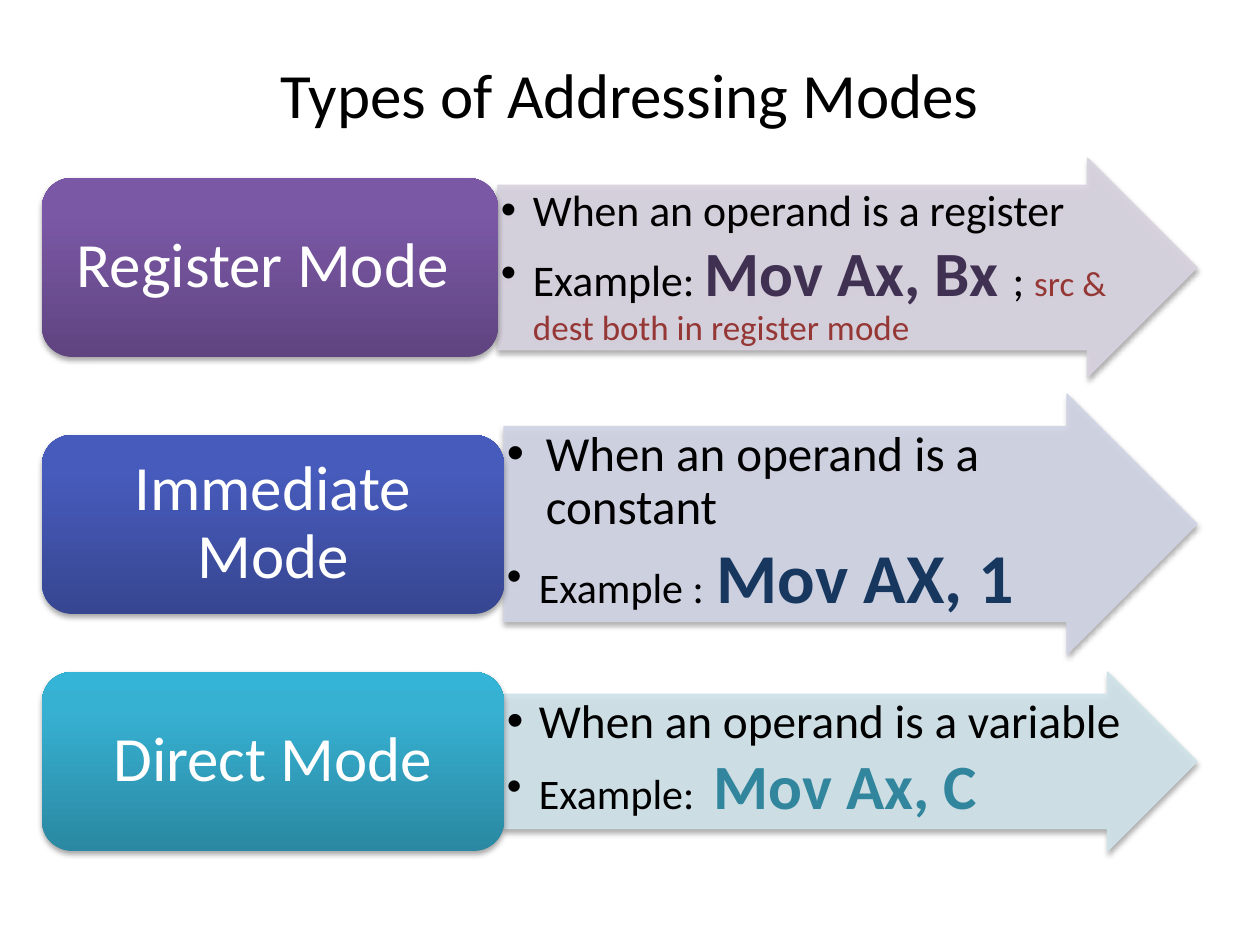
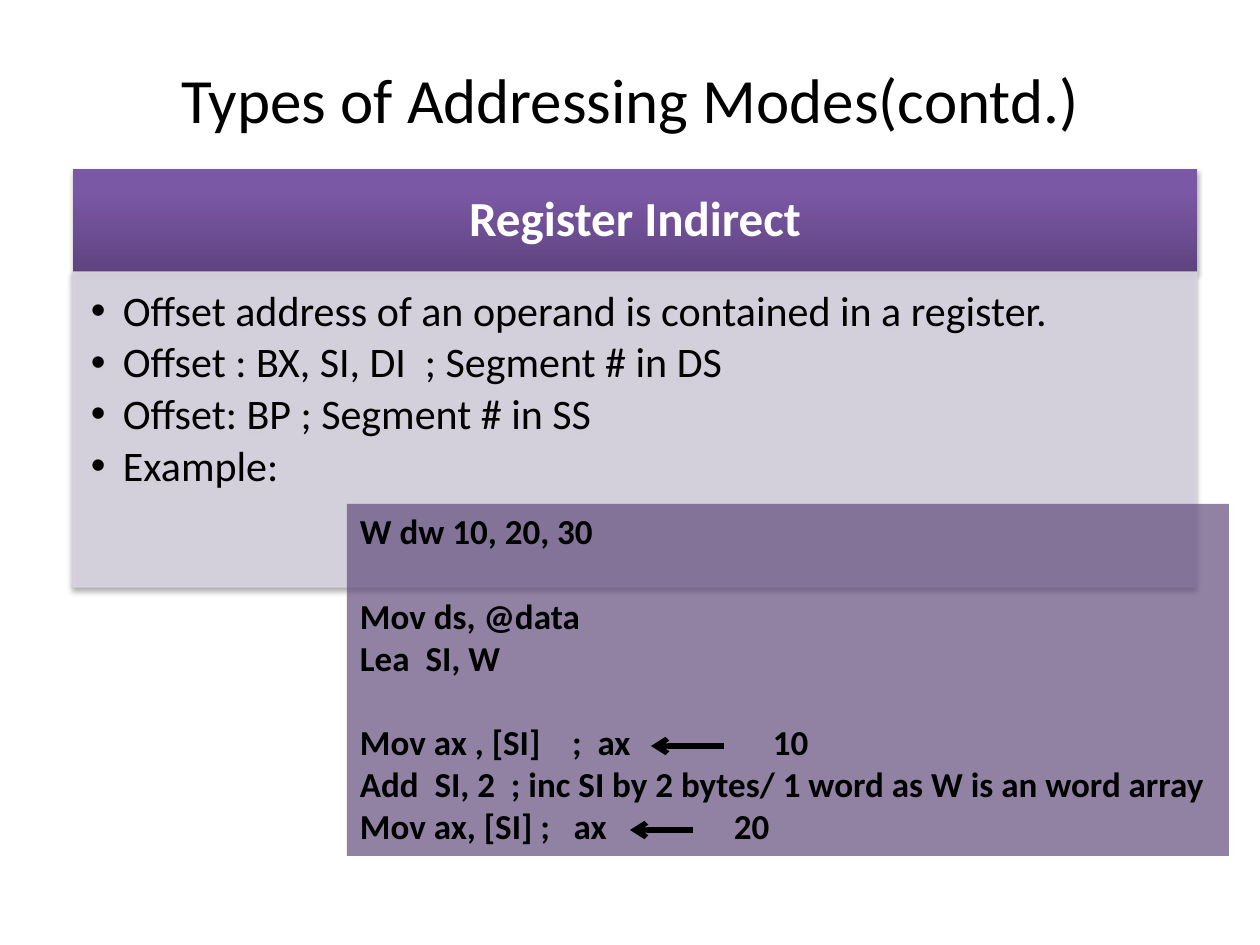
import copy

import pptx
import pptx.dml.color
import pptx.enum.shapes
import pptx.enum.text
import pptx.oxml
import pptx.oxml.ns
import pptx.util

RGBColor = pptx.dml.color.RGBColor
Shape = pptx.enum.shapes.MSO_SHAPE
Align = pptx.enum.text.PP_ALIGN
Anchor = pptx.enum.text.MSO_ANCHOR
Pt = pptx.util.Pt
qn = pptx.oxml.ns.qn

BLACK = RGBColor(0x00, 0x00, 0x00)
WHITE = RGBColor(0xFF, 0xFF, 0xFF)
CODE_PURPLE = RGBColor(0x60, 0x4A, 0x7B)
PALE_PURPLE = RGBColor(0xD8, 0xD3, 0xE0)
PALE_BLUE = RGBColor(0xD1, 0xD4, 0xE5)
PALE_TEAL = RGBColor(0xD0, 0xE3, 0xEA)
DARK_PURPLE = RGBColor(0x40, 0x31, 0x52)
DARK_BLUE = RGBColor(0x17, 0x37, 0x5E)
DARK_TEAL = RGBColor(0x31, 0x85, 0x9C)
NOTE_RED = RGBColor(0x95, 0x37, 0x35)
PURPLE_BLEND = (RGBColor(0x5F, 0x44, 0x80), RGBColor(0x7B, 0x58, 0xA6), RGBColor(0x7C, 0x57, 0xA8))
BLUE_BLEND = (RGBColor(0x37, 0x46, 0x91), RGBColor(0x47, 0x5B, 0xBC), RGBColor(0x45, 0x5A, 0xBF))
TEAL_BLEND = (RGBColor(0x2A, 0x88, 0xA2), RGBColor(0x37, 0xB1, 0xD2), RGBColor(0x34, 0xB4, 0xD6))

FONT = "Calibri"
SCALE = pptx.util.Inches(1) / 126
NAMESPACE = pptx.oxml.ns.nsdecls("a")
SHADOW = (
    f'<a:outerShdw {NAMESPACE} blurRad="39370" dist="22860" dir="5400000" rotWithShape="0">'
    '<a:srgbClr val="000000"><a:alpha val="35000"/></a:srgbClr></a:outerShdw>'
)


def px(length):
    return pptx.util.Emu(round(length * SCALE))


def element(markup):
    return pptx.oxml.parse_xml(markup)


class Page:
    def __init__(self, deck):
        self.slide = deck.slides.add_slide(deck.slide_layouts[6])

    def frame(self, box, insets, anchor):
        frame = box.text_frame
        frame.word_wrap = True
        frame.vertical_anchor = anchor
        frame.margin_left, frame.margin_top, frame.margin_right, frame.margin_bottom = map(px, insets)
        return frame

    def style(self, span, size, color=BLACK, bold=False):
        font = span.font
        font.name, font.size, font.bold = FONT, Pt(size), bold
        font.color.rgb = color

    def title(self, text, height):
        box = self.slide.shapes.add_textbox(px(63), px(38), px(1134), px(height))
        frame = self.frame(box, (13, 6, 13, 6), Anchor.MIDDLE)
        frame.text = text
        frame.paragraphs[0].alignment = Align.CENTER
        self.style(frame.paragraphs[0].runs[0], 36)

    def shape(self, kind, area, shadow=True):
        shape = self.slide.shapes.add_shape(kind, *map(px, area))
        shape.shadow.inherit = False
        shape.line.fill.background()
        if shadow:
            shape._element.spPr.find(qn("a:effectLst")).append(element(SHADOW))
        return shape

    def tint(self, shape, color, opacity, outlined=True):
        shape.fill.solid()
        shape.fill.fore_color.rgb = color
        solids = [shape._element.spPr.find(qn("a:solidFill"))]
        if outlined:
            shape.line.color.rgb = color
            shape.line.width = Pt(0.75)
            solids.append(shape.line._ln.find(qn("a:solidFill")))
        for solid in solids:
            solid[0].append(element(f'<a:alpha {NAMESPACE} val="{opacity * 1000}"/>'))

    def header(self, kind, area, text, size, blend, insets, bold=False):
        shape = self.shape(kind, area)
        shape.fill.gradient()
        shape.fill.gradient_angle = 90
        stops = shape._element.spPr.find(qn("a:gradFill")).find(qn("a:gsLst"))
        stops.append(copy.deepcopy(stops[-1]))
        for stop, position, color in zip(shape.fill.gradient_stops, (0, 0.8, 1), blend):
            stop.position = position
            stop.color.rgb = color
        frame = self.frame(shape, insets, Anchor.MIDDLE)
        frame.text = text
        para = frame.paragraphs[0]
        para.alignment = Align.CENTER
        para.line_spacing = 0.9
        self.style(para.runs[0], size, WHITE, bold)

    def bullets(self, kind, area, color, items, insets, indents):
        shape = self.shape(kind, area)
        if kind == Shape.RIGHT_ARROW:
            shape.adjustments[0], shape.adjustments[1] = 0.75, 0.5
        self.tint(shape, color, 90)
        frame = self.frame(shape, insets, Anchor.TOP)
        for index, (spans, indent) in enumerate(zip(items, indents)):
            para = frame.add_paragraph() if index else frame.paragraphs[0]
            para.alignment = Align.LEFT
            para.level = 1
            para.line_spacing = 0.9
            para.space_after = Pt(round(spans[0][1] * 0.15, 1))
            props = para._p.get_or_add_pPr()
            props.set("marL", str(px(indent)))
            props.set("indent", str(-px(indent)))
            props.append(element(f'<a:buFont {NAMESPACE} typeface="Arial"/>'))
            props.append(element(f'<a:buChar {NAMESPACE} char="•"/>'))
            for text, *look in spans:
                span = para.add_run()
                span.text = text
                self.style(span, *look)

    def code(self, area, lines, size):
        shape = self.shape(Shape.RECTANGLE, area, shadow=False)
        self.tint(shape, CODE_PURPLE, 69, outlined=False)
        frame = self.frame(shape, (13, 6, 13, 6), Anchor.TOP)
        frame.text = "\n".join(text for text, *_ in lines)
        for para, (_, gap, tab) in zip(frame.paragraphs, lines):
            para.alignment = Align.LEFT
            if gap:
                para.space_before = Pt(gap)
            if tab:
                para._p.get_or_add_pPr().append(
                    element(f'<a:tabLst {NAMESPACE}><a:tab pos="{px(tab)}" algn="l"/></a:tabLst>')
                )
            self.style(para.runs[0], size, bold=True)

    def arrow(self, start, end):
        line = self.slide.shapes.add_connector(
            pptx.enum.shapes.MSO_CONNECTOR.STRAIGHT, *map(px, start + end)
        )
        line.line.color.rgb = BLACK
        line.line.width = Pt(3)
        line.line._ln.append(element(f'<a:tailEnd {NAMESPACE} type="arrow"/>'))
        line._element.spPr.append(element(f"<a:effectLst {NAMESPACE}/>"))


def build_modes(deck):
    page = Page(deck)
    page.title("Types of Addressing Modes", 110)
    left, right, label_height = 42, 1197, 179
    modes = [
        ("Register Mode ", 178, 456, 219, PURPLE_BLEND, PALE_PURPLE, (32, 32), [
            [("When an operand is a register", 25)],
            [("Example: ", 25), ("Mov Ax, Bx ", 36, DARK_PURPLE, True), ("; ", 25),
             ("src & dest both in register mode", 20, NOTE_RED)],
        ]),
        ("Immediate Mode", 435, 462, 260, BLUE_BLEND, PALE_BLUE, (39, 32), [
            [("When an operand is a constant", 28)],
            [("Example :", 24), (" ", 32), ("Mov AX, 1", 40, DARK_BLUE, True)],
        ]),
        ("Direct Mode", 672, 462, 179, TEAL_BLEND, PALE_TEAL, (32, 32), [
            [("When an operand is a variable", 27)],
            [("Example:  ", 24), ("Mov Ax, C", 36, DARK_TEAL, True)],
        ]),
    ]
    for name, top, width, arrow_height, blend, pale, indents, items in modes:
        arrow_left = left + width
        arrow_top = top + (label_height - arrow_height) // 2
        page.bullets(Shape.RIGHT_ARROW, (arrow_left, arrow_top, right - arrow_left, arrow_height),
                     pale, items, (3, 3, 3, 3), indents)
        page.header(Shape.ROUNDED_RECTANGLE, (left, top, width, label_height),
                    name, 36, blend, (19, 9, 19, 9))


def build_indirect(deck):
    page = Page(deck)
    page.title("Types of Addressing Modes(contd.)", 120)
    left, top, width, header_height = 73, 169, 1124, 103
    page.header(Shape.RECTANGLE, (left, top, width, header_height), "Register Indirect",
                28, PURPLE_BLEND, (28, 15, 28, 15), bold=True)
    facts = [
        "Offset address of an operand is contained in a register.",
        "Offset : BX, SI, DI  ; Segment # in DS",
        "Offset: BP ; Segment # in SS",
        "Example:",
    ]
    page.bullets(Shape.RECTANGLE, (left, top + header_height, width, 315), PALE_PURPLE,
                 [[(fact, 24)] for fact in facts], (18, 18, 24, 26), [32] * len(facts))
    blank_line = 24
    page.code((347, 504, 882, 352), [
        ("W dw 10, 20, 30", 0, 0),
        ("Mov ds, @data", blank_line, 0),
        ("Lea  SI, W", 0, 0),
        ("Mov ax , [SI]    ;  ax\t10", blank_line, 413),
        ("Add  SI, 2  ; inc SI by 2 bytes/ 1 word as W is an word array", 0, 0),
        ("Mov ax, [SI] ;   ax\t20", 0, 374),
    ], 20)
    page.arrow((724, 746), (651, 746))
    page.arrow((693, 830), (630, 830))


def main():
    deck = pptx.Presentation()
    deck.slide_width, deck.slide_height = px(1260), px(945)
    build_modes(deck)
    build_indirect(deck)
    deck.save("out.pptx")


if __name__ == "__main__":
    main()
